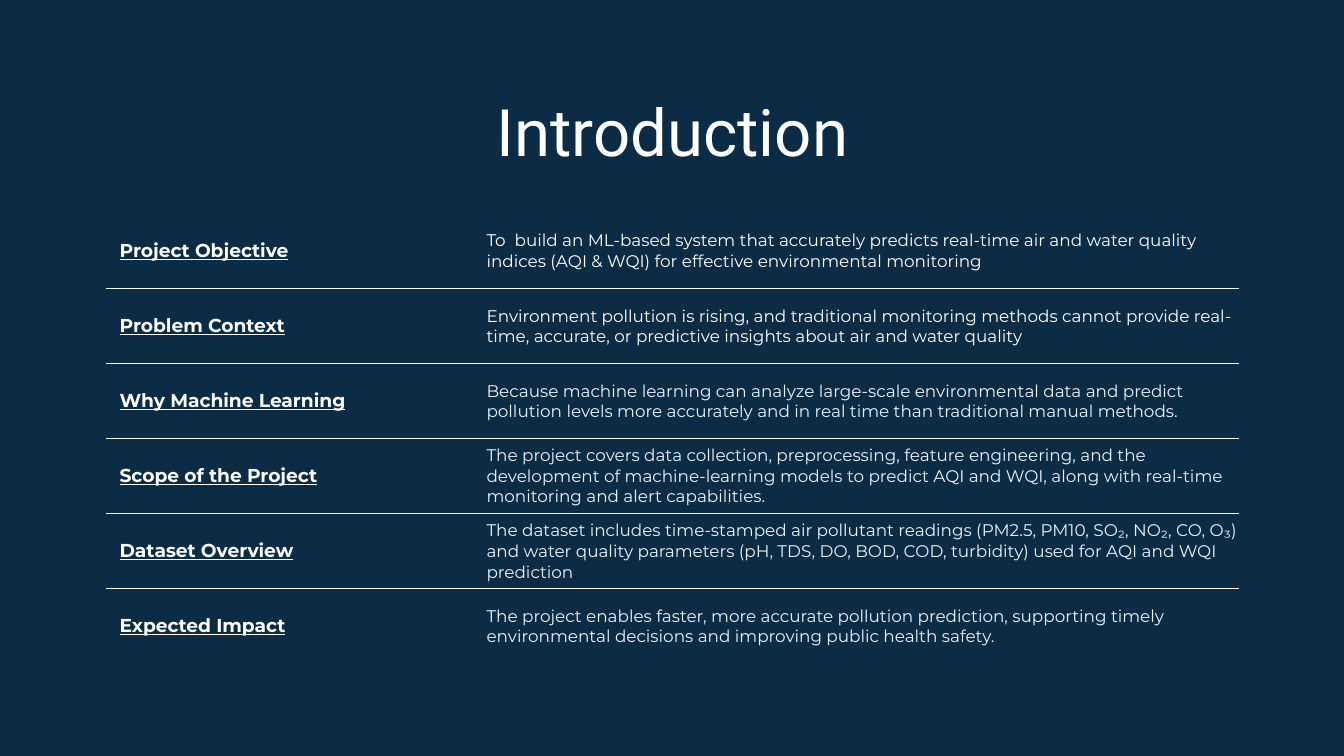
from lxml.etree import SubElement
from pptx import Presentation
from pptx.dml.color import RGBColor
from pptx.enum.text import MSO_ANCHOR, PP_ALIGN
from pptx.oxml.ns import qn
from pptx.util import Inches, Pt

NAVY = RGBColor(0x0C, 0x2C, 0x45)
WHITE = RGBColor(0xFF, 0xFF, 0xFF)
ICE = RGBColor(0xE8, 0xF3, 0xFE)
BLACK = RGBColor(0, 0, 0)

# Heading, description, description colour
TOPICS = [
    ("Project Objective",
     "To  build an ML-based system that accurately predicts real-time air and "
     "water quality indices (AQI & WQI) for effective environmental monitoring", WHITE),
    ("Problem Context",
     "Environment pollution is rising, and traditional monitoring methods cannot "
     "provide real-time, accurate, or predictive insights about air and water quality", WHITE),
    ("Why Machine Learning",
     "Because machine learning can analyze large-scale environmental data and "
     "predict pollution levels more accurately and in real time than traditional "
     "manual methods.", ICE),
    ("Scope of the Project",
     "The project covers data collection, preprocessing, feature engineering, and "
     "the development of machine-learning models to predict AQI and WQI, along with "
     "real-time monitoring and alert capabilities.", ICE),
    ("Dataset Overview",
     "The dataset includes time-stamped air pollutant readings (PM2.5, PM10, SO₂, "
     "NO₂, CO, O₃) and water quality parameters (pH, TDS, DO, BOD, COD, turbidity) "
     "used for AQI and WQI prediction", ICE),
    ("Expected Impact",
     "The project enables faster, more accurate pollution prediction, supporting "
     "timely environmental decisions and improving public health safety.", ICE),
]


def add_run(para, text, size, color, font="Montserrat", heading=False):
    span = para.add_run()
    span.text = text
    span.font.name = font
    span.font.size = Pt(size)
    span.font.color.rgb = color
    span.font.bold = span.font.underline = heading


def add_title(page, left, top, width, height):
    box = page.shapes.add_textbox(Inches(left), Inches(top), Inches(width), Inches(height))
    frame = box.text_frame
    frame.word_wrap = True
    frame.vertical_anchor = MSO_ANCHOR.TOP
    frame.margin_left = frame.margin_right = Inches(0.1)
    frame.margin_top = frame.margin_bottom = Inches(0.1)
    para = frame.paragraphs[0]
    para.alignment = PP_ALIGN.CENTER
    add_run(para, "Introduction", 35, WHITE, "Roboto")


def set_borders(cell, ruled_sides):
    """Rule the given sides in white and clear the others."""
    properties = cell._tc.get_or_add_tcPr()
    for position, side in enumerate(("lnL", "lnR", "lnT", "lnB")):
        line = properties.makeelement(qn(f"a:{side}"), {"w": str(Pt(0.75))})
        properties.insert(position, line)
        if side in ruled_sides:
            fill = SubElement(line, qn("a:solidFill"))
            SubElement(fill, qn("a:srgbClr"), val=str(WHITE))
        else:
            SubElement(line, qn("a:noFill"))


def add_topic_table(page, left, top, width, height):
    frame = page.shapes.add_table(len(TOPICS), 2, Inches(left), Inches(top),
                                  Inches(width), Inches(height))
    table = frame.table
    table.first_row = table.horz_banding = False
    heading_width = 2.73
    table.columns[0].width = Inches(heading_width)
    table.columns[1].width = Inches(width - heading_width)

    for index, (heading, description, color) in enumerate(TOPICS):
        sides = []
        if index > 0:
            sides.append("lnT")
        if index < len(TOPICS) - 1:
            sides.append("lnB")
        cells = table.rows[index].cells
        for cell, right_margin in zip(cells, (0.1, 0)):
            cell.fill.background()
            cell.vertical_anchor = MSO_ANCHOR.MIDDLE
            cell.margin_left = Inches(0.1)
            cell.margin_right = Inches(right_margin)
            cell.margin_top = cell.margin_bottom = 0
            set_borders(cell, sides)
        heading_para, description_para = (cell.text_frame.paragraphs[0] for cell in cells)
        add_run(heading_para, heading, 10, WHITE, heading=True)
        add_run(description_para, description, 9, color)
        if heading == "Dataset Overview":
            add_run(description_para, ".", 9, BLACK, "Arial")


def main():
    deck = Presentation()
    deck.slide_width = Inches(10)
    deck.slide_height = deck.slide_width * 9 // 16
    page = deck.slides.add_slide(deck.slide_layouts[6])
    page.background.fill.solid()
    page.background.fill.fore_color.rgb = NAVY
    add_title(page, 0.79, 0.58, 8.43, 0.64)
    add_topic_table(page, 0.79, 1.59, 8.43, 3.35)
    deck.save("out.pptx")


if __name__ == "__main__":
    main()
